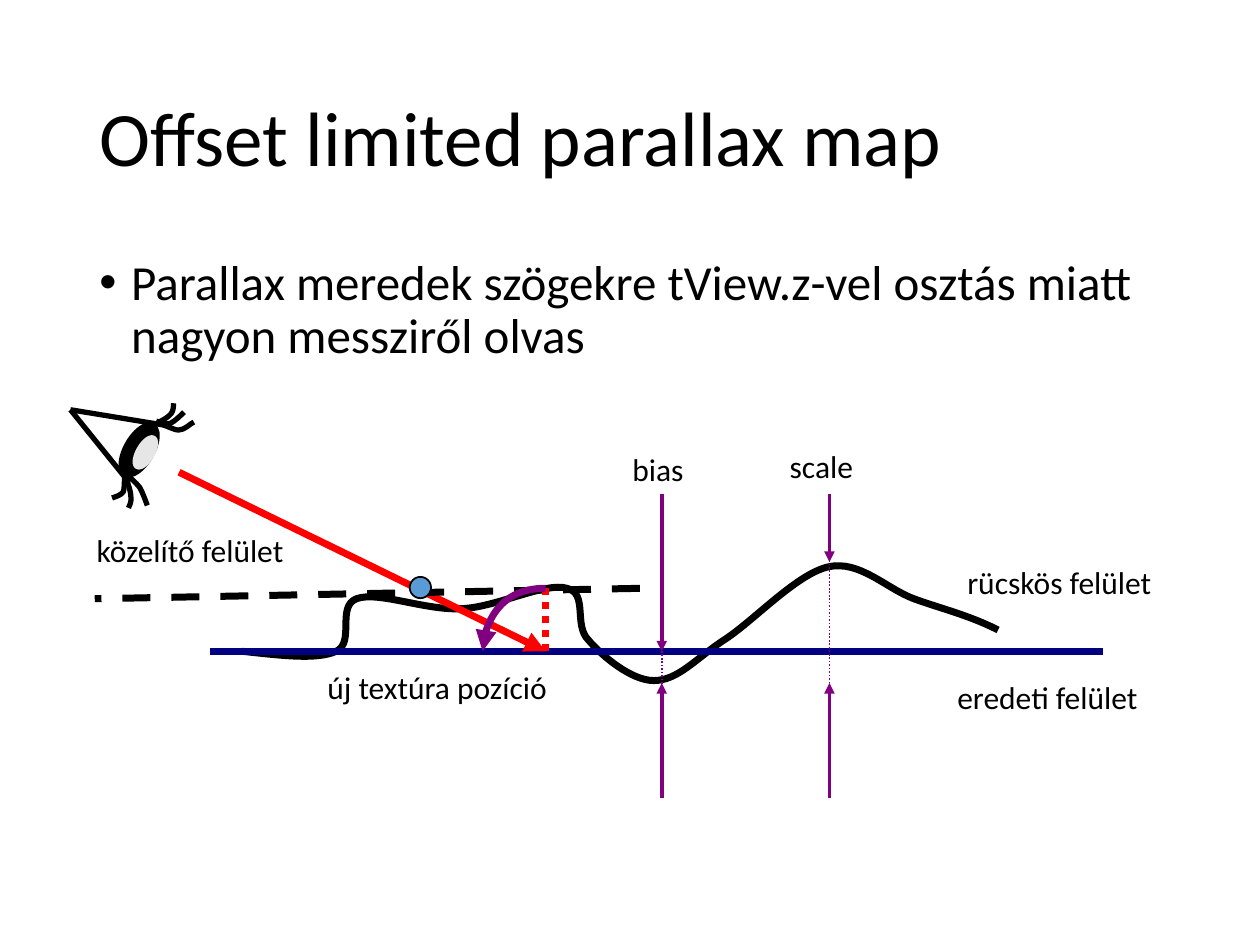
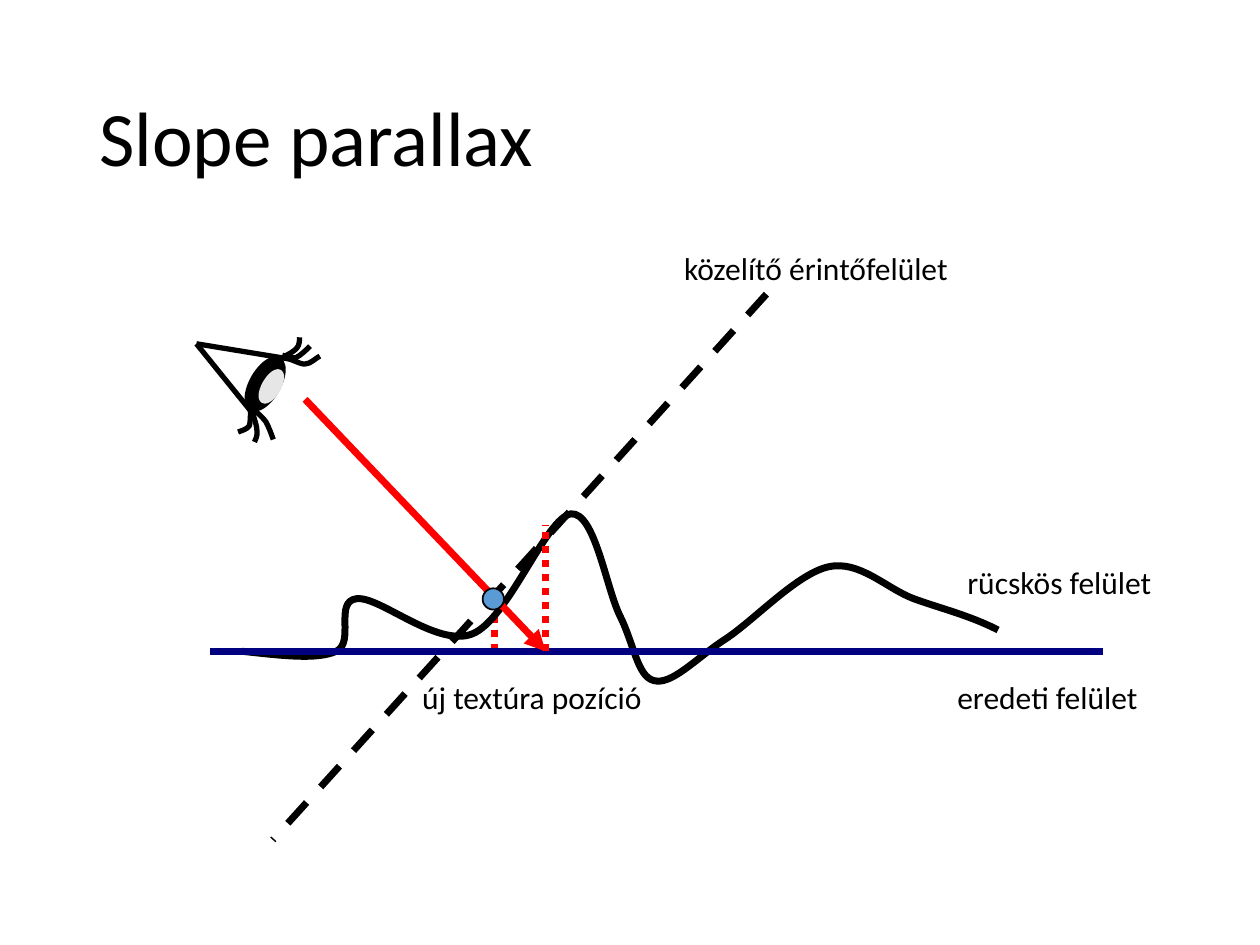
from lxml import etree
from pptx import Presentation
from pptx.dml.color import RGBColor
from pptx.enum import dml, shapes, text
from pptx.oxml.ns import qn
from pptx.util import Cm, Pt

COLOURS = {
    "ink": "000000",
    "paper": "FFFFFF",
    "pupil": "E7E6E6",
    "ground": "000080",
    "ray": "FF0000",
    "offset": "800080",
    "hit": "5B9BD5",
}
FONT = "Calibri"
DASHES = {"dot": dml.MSO_LINE.ROUND_DOT, "dash": dml.MSO_LINE.DASH}
TITLE_AND_BODY, TITLE_ONLY = 1, 5

GROUND_Y = 13.13
OFFSET_X = 11.0

# Bézier points of the rough surface: a start, then three points per segment
RISE = [(4.88, 13.13), (5.64, 13.21), (6.38, 13.31), (6.78, 13.13), (7.16, 12.95)]
LOW_BUMP = [
    (6.78, 12.22), (7.19, 12.07),
    (7.62, 11.91), (8.61, 12.32), (9.32, 12.27),
    (10.01, 12.24), (11, 11.73), (11.43, 11.86),
    (11.86, 11.96), (11.56, 12.6), (11.86, 12.9),
    (12.14, 13.23), (12.73, 13.72), (13.18, 13.72), (13.67, 13.72),
]
HIGH_BUMP = [
    (6.73, 12.12), (7.19, 12.07),
    (7.65, 12.01), (8.81, 13.06), (9.52, 12.78),
    (10.24, 12.5), (11, 10.44), (11.51, 10.36),
    (11.99, 10.31), (12.22, 11.86), (12.5, 12.42),
    (12.78, 12.98), (12.85, 13.64), (13.18, 13.72), (13.54, 13.82),
]
HILL = [
    (14.02, 13.28), (14.6, 12.9),
    (15.19, 12.52), (16.05, 11.58), (16.69, 11.43),
    (17.32, 11.28), (17.86, 11.86), (18.42, 12.07),
    (18.97, 12.27), (19.53, 12.4), (20.12, 12.7),
]

# Measured from the corner of the eye
LIDS = [(1.83, 0.3), (1.17, 1.45)]
LASHES = [
    [(1.73, 0.23), (1.8, 0.25), (1.9, 0.3), (2.01, 0.28),
     (2.11, 0.23), (2.24, 0.1), (2.29, 0.05)],
    [(1.83, 0.3), (1.9, 0.3), (2.08, 0.41), (2.18, 0.41),
     (2.31, 0.41), (2.41, 0.28), (2.49, 0.25)],
    [(1.78, 0.25), (1.83, 0.23), (1.98, 0.15), (2.03, 0.08),
     (2.08, 0.03), (2.08, -0.1), (2.08, -0.13)],
    [(1.09, 1.3), (1.22, 1.37), (1.32, 1.47), (1.4, 1.57),
     (1.47, 1.7), (1.52, 1.85), (1.55, 1.93)],
    [(1.09, 1.3), (1.12, 1.37), (1.22, 1.63), (1.22, 1.75),
     (1.24, 1.85), (1.19, 1.93), (1.17, 1.98)],
    [(1.09, 1.3), (1.09, 1.42), (1.09, 1.57), (1.07, 1.65),
     (1.02, 1.73), (0.91, 1.75), (0.84, 1.78)],
]


def rgb(name):
    return RGBColor.from_string(COLOURS[name])


class Sketch:
    """Holds the deck's style and the page being drawn; lengths are in cm."""

    def __init__(self):
        self.deck = Presentation()
        self.deck.slide_width, self.deck.slide_height = Cm(25.4), Cm(19.05)
        self.page = None

    def start_page(self, title, layout=TITLE_ONLY):
        self.page = self.deck.slides.add_slide(self.deck.slide_layouts[layout])
        self.page.background.fill.solid()
        self.page.background.fill.fore_color.rgb = rgb("paper")
        self.fill_placeholder(self.page.shapes.title, title, 44, 1.02, 3.68,
                              text.MSO_ANCHOR.MIDDLE)

    def fill_placeholder(self, box, words, size, top, height, anchor):
        box.left, box.top = Cm(1.75), Cm(top)
        box.width, box.height = Cm(21.89), Cm(height)
        frame = box.text_frame
        frame.auto_size = text.MSO_AUTO_SIZE.NONE
        frame.vertical_anchor = anchor
        para = frame.paragraphs[0]
        para.alignment = text.PP_ALIGN.LEFT
        para.line_spacing = 0.9
        self.add_span(para, words, size)
        return para

    def bullet(self, words):
        para = self.fill_placeholder(self.page.placeholders[1], words, 28, 5.08, 13.79,
                                     text.MSO_ANCHOR.TOP)
        para.space_before = Pt(10)
        props = para._p.get_or_add_pPr()
        props.set("marL", str(Cm(0.64)))
        props.set("indent", str(-Cm(0.64)))
        etree.SubElement(props, qn("a:buChar"), char="•")

    def add_span(self, para, words, size):
        span = para.add_run()
        span.text = words
        span.font.name, span.font.size = FONT, Pt(size)
        span.font.color.rgb = rgb("ink")

    def label(self, words, left, top, width):
        box = self.page.shapes.add_textbox(Cm(left), Cm(top), Cm(width), Cm(1.02))
        box.text_frame.word_wrap = False
        box.text_frame.auto_size = text.MSO_AUTO_SIZE.SHAPE_TO_FIT_TEXT
        self.add_span(box.text_frame.paragraphs[0], words, 18)

    def stroke(self, line, colour, width, dash=None, arrow=False):
        line.color.rgb = rgb(colour)
        line.width = Pt(width)
        if dash:
            line.dash_style = DASHES[dash]
        if arrow:
            etree.SubElement(line._get_or_add_ln(), qn("a:tailEnd"), type="triangle")

    def line(self, start, end, colour, width=4, dash=None, arrow=False, parent=None):
        ends = [Cm(value) for value in (*start, *end)]
        connector = (parent or self.page.shapes).add_connector(
            shapes.MSO_CONNECTOR.STRAIGHT, *ends)
        self.stroke(connector.line, colour, width, dash, arrow)
        etree.SubElement(connector.element.spPr, qn("a:effectLst"))

    def curve(self, points, colour="ink", width=4, arrow=False, parent=None):
        """Draw a chain of cubic Béziers: a start, then three points per segment."""
        start, *rest = [(Cm(x), Cm(y)) for x, y in points]
        builder = (parent or self.page.shapes).build_freeform(*start)
        builder.add_line_segments(rest, close=False)
        outline = builder.convert_to_shape()
        outline.shadow.inherit = False
        outline.fill.background()
        self.stroke(outline.line, colour, width, arrow=arrow)
        track = outline.element.find(".//" + qn("a:path"))
        steps = list(track)[1:]
        for first in range(0, len(steps), 3):
            cubic = etree.SubElement(track, qn("a:cubicBezTo"))
            for step in steps[first:first + 3]:
                cubic.append(step[0])
                track.remove(step)

    def ellipse(self, left, top, width, height, fill, edge, weight, turn=0, parent=None):
        oval = (parent or self.page.shapes).add_shape(
            shapes.MSO_SHAPE.OVAL, Cm(left), Cm(top), Cm(width), Cm(height))
        oval.shadow.inherit = False
        oval.rotation = turn
        oval.fill.solid()
        oval.fill.fore_color.rgb = rgb(fill)
        self.stroke(oval.line, edge, weight)

    def hit_point(self, left, top):
        self.ellipse(left, top, 0.43, 0.43, "hit", "ink", 1)

    def eye(self, x, y):
        group = self.page.shapes.add_group_shape().shapes
        for dx, dy in LIDS:
            self.line((x, y), (x + dx, y + dy), "ink", 3, parent=group)
        self.ellipse(x + 1.12, y + 0.25, 0.53, 1.12, "ink", "ink", 3, 30, group)
        self.ellipse(x + 1.37, y + 0.53, 0.28, 0.66, "pupil", "pupil", 3, 30, group)
        for lash in LASHES:
            self.curve([(x + dx, y + dy) for dx, dy in lash], width=3, parent=group)

    def surfaces(self, bump):
        """Draw the rough surface over the flat one, with both labels."""
        self.curve(RISE + bump + HILL)
        self.label("rücskös felület", 19.25, 11.23, 4.57)
        self.line((4.24, GROUND_Y), (22.23, GROUND_Y), "ground")
        self.label("eredeti felület", 19.05, 13.54, 4.32)

    def view_ray(self, start, surface_y):
        """Draw the ray to the ground and the height of the surface above its end."""
        foot = (OFFSET_X, GROUND_Y)
        self.line(start, foot, "ray", arrow=True)
        self.line(foot, (OFFSET_X, surface_y), "ray", dash="dot")

    def height_marker(self, words, x, dots, tip, label_at):
        """Mark a height with two facing arrows joined by a dotted line."""
        self.line((x, dots), (x, 15.24), "offset", 1, "dot")
        self.line((x, 9.96), (x, tip), "offset", 2, arrow=True)
        self.line((x, 16.08), (x, 13.77), "offset", 2, arrow=True)
        self.label(words, *label_at)


def draw_offset_limited(sketch):
    sketch.start_page("Offset limited parallax map", TITLE_AND_BODY)
    sketch.bullet("Parallax meredek szögekre tView.z-vel osztás miatt nagyon messziről olvas")
    sketch.surfaces(LOW_BUMP)
    sketch.view_ray((3.61, 9.52), 11.86)
    sketch.line((12.9, 11.86), (1.91, 12.07), "ink", dash="dash")
    sketch.label("közelítő felület", 1.7, 10.59, 4.57)
    sketch.label("új textúra pozíció", 6.35, 13.34, 5.31)
    sketch.eye(1.42, 8.26)
    sketch.height_marker("bias", 13.34, 12.07, GROUND_Y, (12.5, 8.94, 1.68))
    sketch.height_marker("scale", 16.72, 10.8, 11.33, (15.67, 8.89, 1.98))
    sketch.hit_point(8.26, 11.63)
    sketch.curve([(OFFSET_X, 11.86), (10.31, 11.86), (9.73, 12.42), (9.73, GROUND_Y)],
                 "offset", arrow=True)


def draw_slope(sketch):
    sketch.start_page("Slope parallax")
    sketch.line((9.96, GROUND_Y), (9.96, 12.07), "ray", dash="dot")
    sketch.surfaces(HIGH_BUMP)
    sketch.view_ray((6.15, 8.05), 10.59)
    sketch.label("új textúra pozíció", 8.26, 13.54, 5.31)
    sketch.eye(3.96, 6.93)
    sketch.line((15.45, 5.93), (5.5, 16.93), "ink", dash="dash")
    sketch.hit_point(9.73, 11.86)
    sketch.label("közelítő érintőfelület", 13.54, 4.9, 6.15)


def main():
    sketch = Sketch()
    draw_offset_limited(sketch)
    draw_slope(sketch)
    sketch.deck.save("out.pptx")


if __name__ == "__main__":
    main()
